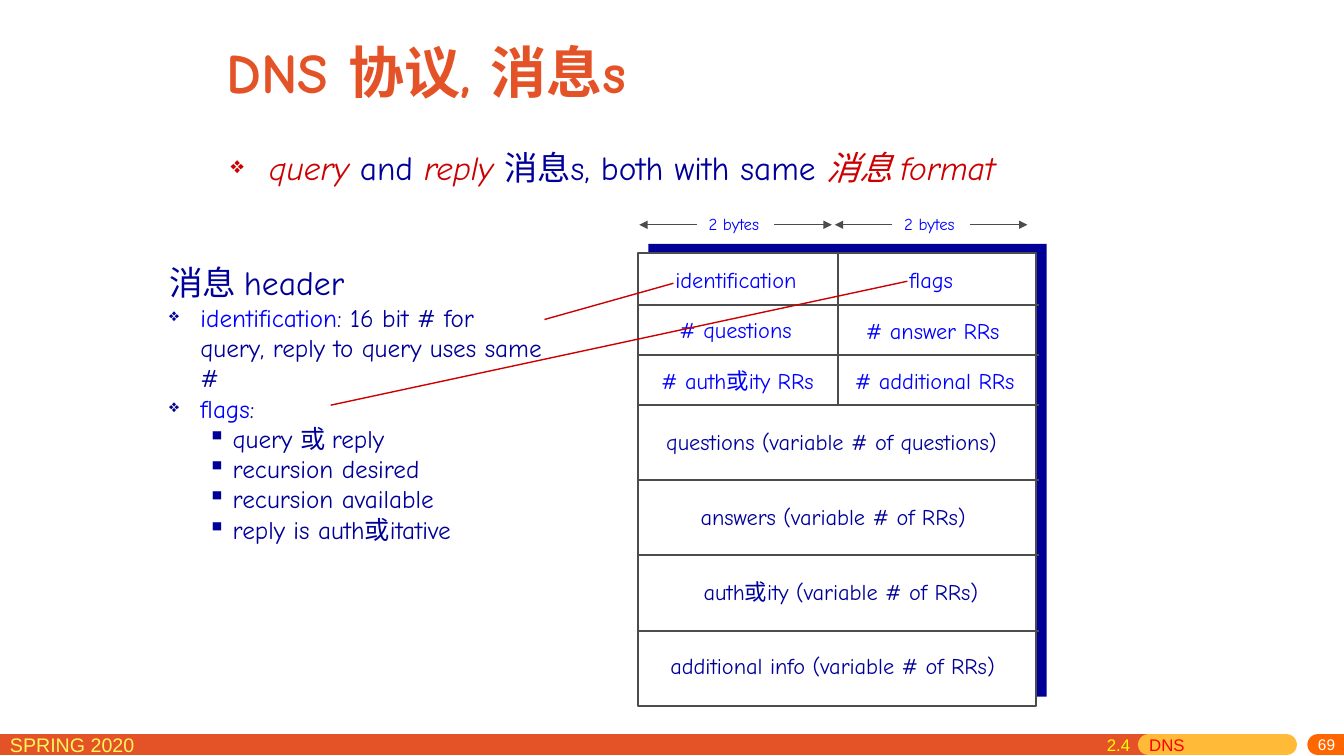
from dataclasses import dataclass

from lxml import etree
from pptx import Presentation
from pptx.dml.color import RGBColor
from pptx.enum.shapes import MSO_CONNECTOR, MSO_SHAPE
from pptx.enum.text import MSO_ANCHOR, PP_ALIGN
from pptx.oxml.ns import qn
from pptx.util import Inches, Pt

STRAIGHT = MSO_CONNECTOR.STRAIGHT
RECTANGLE = MSO_SHAPE.RECTANGLE
MIDDLE = MSO_ANCHOR.MIDDLE
RIGHT = PP_ALIGN.RIGHT


@dataclass(frozen=True)
class Theme:
    font: str = "Comic Neue"
    footer_font: str = "Arial"
    orange: str = "E45327"
    amber: str = "FFBA37"
    page_orange: str = "FF6600"
    pale_yellow: str = "FFF65C"
    yellow: str = "FFFF00"
    bright_red: str = "FF0000"
    red: str = "CC0000"
    navy: str = "000099"
    blue: str = "0000FF"
    gray: str = "4C4C4C"
    white: str = "FFFFFF"
    title: float = 40
    header: float = 24
    lead: float = 23.8
    body: float = 18
    field: float = 16
    footer: float = 14
    small: float = 12
    number: float = 11


THEME = Theme()


def add_text(page, area, **frame_format):
    """Add an empty wrapping text box and return its text frame."""
    frame = page.shapes.add_textbox(*map(Inches, area)).text_frame
    for name, value in {"word_wrap": True, **frame_format}.items():
        setattr(frame, name, value)
    return frame


def add_spans(para, size, spans, font=THEME.font):
    """Add (text, colour, format) runs to a paragraph."""
    for text, color, *extra in spans:
        span = para.add_run()
        span.text = text
        formats = {"name": font, "size": Pt(size)}
        for style in extra:
            formats.update(style)
        for name, value in formats.items():
            setattr(span.font, name, value)
        span.font.color.rgb = RGBColor.from_string(color)


def set_indent(para, margin, hanging):
    properties = para._p.get_or_add_pPr()
    properties.set("marL", str(Inches(margin)))
    properties.set("indent", str(-Inches(hanging)))
    return properties


def set_bullet(para, character, color, percent, margin, hanging):
    properties = set_indent(para, margin, hanging)
    bullet_color = etree.SubElement(properties, qn("a:buClr"))
    etree.SubElement(bullet_color, qn("a:srgbClr"), val=color)
    etree.SubElement(properties, qn("a:buSzPct"), val=str(percent * 1000))
    etree.SubElement(properties, qn("a:buChar"), char=character)


def add_label(page, area, text, color, size, font=THEME.font, align=None, **frame_format):
    para = add_text(page, area, **frame_format).paragraphs[0]
    para.alignment = align
    add_spans(para, size, [(text, color)], font)


def add_line(page, start, end, color, width, arrow=False, rounded=False):
    line = page.shapes.add_connector(STRAIGHT, *map(Inches, (*start, *end)))
    line.line.color.rgb = RGBColor.from_string(color)
    line.line.width = Pt(width)
    outline = line.line._ln
    if rounded:
        outline.set("cap", "rnd")
    if arrow:
        etree.SubElement(outline, qn("a:tailEnd"), type="triangle")
    etree.SubElement(line._element.spPr, qn("a:effectLst"))


def add_panel(page, left, top, fill, outline=None):
    panel = page.shapes.add_shape(RECTANGLE, *map(Inches, (left, top, 3.95, 4.49)))
    panel.shadow.inherit = False
    panel.fill.solid()
    panel.fill.fore_color.rgb = RGBColor.from_string(fill)
    if outline:
        panel.line.color.rgb = RGBColor.from_string(outline)
        panel.line.width = Pt(1.5)
    else:
        panel.line.fill.background()


def add_footer(page):
    bars = [(0, 11.39, THEME.orange, False), (11.39, 12.76, THEME.amber, True),
            (13.07, 13.33, THEME.page_orange, True)]
    for left, right, color, rounded in bars:
        add_line(page, (left, 7.39), (right, 7.39), color, 15, rounded=rounded)
    add_label(page, (0, 7.22, 2.29, 0.31), "SPRING 2020", THEME.pale_yellow,
              THEME.footer, THEME.footer_font)
    add_label(page, (10.75, 7.32, 2.59, 0.18), "69", THEME.white, THEME.number,
              THEME.footer_font, RIGHT, vertical_anchor=MIDDLE,
              margin_top=0, margin_bottom=Inches(0.05))
    section = add_text(page, (10.88, 7.24, 2.1, 0.31)).paragraphs[0]
    tabs = etree.SubElement(section._p.get_or_add_pPr(), qn("a:tabLst"))
    etree.SubElement(tabs, qn("a:tab"), pos=str(Inches(0.42)), algn="l")
    add_spans(section, THEME.small, [("2.4\t", THEME.yellow), ("DNS", THEME.bright_red)],
              THEME.footer_font)


def add_heading(page):
    title = add_text(page, (2.15, 0.24, 8.5, 0.94), vertical_anchor=MIDDLE)
    add_spans(title.paragraphs[0], THEME.title,
              [("DNS 协议, 消息s", THEME.orange, {"bold": True})])
    lead = add_text(page, (2.19, 1.46, 8.55, 0.56)).paragraphs[0]
    set_bullet(lead, "❖", THEME.red, 70, 0.38, 0.38)
    lead.line_spacing = 0.9
    italic = {"italic": True}
    add_spans(lead, THEME.lead, [
        ("query ", THEME.red, italic), ("and ", THEME.navy),
        ("reply ", THEME.red, italic), ("消息s, both with same ", THEME.navy),
        ("消息 format", THEME.red, italic)])


def add_header_notes(page):
    frame = add_text(page, (1.58, 2.55, 3.91, 4.2))
    heading = frame.paragraphs[0]
    set_indent(heading, 0.38, 0.38)
    add_spans(heading, THEME.header, [("消息 header", THEME.navy)])
    notes = [("identification", ": 16 bit # for query, reply to query uses same #"),
             ("flags", ":")]
    for term, rest in notes:
        para = frame.add_paragraph()
        set_bullet(para, "❖", THEME.navy, 70, 0.31, 0.31)
        add_spans(para, THEME.body, [(term, THEME.blue), (rest, THEME.navy)])
    for flag in ("query 或 reply", "recursion desired", "recursion available",
                 "reply is auth或itative"):
        para = frame.add_paragraph()
        para.level = 1
        set_bullet(para, "▪", THEME.navy, 100, 0.63, 0.25)
        add_spans(para, THEME.body, [(flag, THEME.navy)])


def add_message_format(page):
    add_panel(page, 6.43, 2.42, THEME.navy)
    add_panel(page, 6.33, 2.51, THEME.white, THEME.gray)
    for top in (3.03, 3.52, 4.02, 4.76, 5.51, 6.26):
        add_line(page, (6.32, top), (10.3, top), THEME.gray, 1.5)
    add_line(page, (8.31, 2.52), (8.31, 4.01), THEME.gray, 1.5)
    header_fields = [
        (6.6, 2.59, "identification"), (8.92, 2.59, "flags"),
        (6.64, 3.09, "# questions"), (8.49, 3.1, "# answer RRs"),
        (6.46, 3.59, "# auth或ity RRs"), (8.38, 3.59, "# additional RRs")]
    sections = [
        (6.51, 4.2, "questions (variable # of questions)"),
        (6.85, 4.94, "answers (variable # of RRs)"),
        (6.88, 5.69, "auth或ity (variable # of RRs)"),
        (6.55, 6.42, "additional info (variable # of RRs)")]
    for fields, color, width in ((header_fields, THEME.blue, 1.94),
                                 (sections, THEME.navy, 3.84)):
        for left, top, text in fields:
            add_label(page, (left, top, width, 0.37), text, color, THEME.field)


def add_byte_width(page, left):
    """Add a '2 bytes' label between two outward arrows."""
    add_label(page, (left + 0.59, 2.07, 0.8, 0.3), "2 bytes", THEME.blue, THEME.small)
    for start, end in ((1.34, 1.91), (0.57, 0)):
        add_line(page, (left + start, 2.23), (left + end, 2.23), THEME.gray, 0.75,
                 arrow=True)


def main():
    deck = Presentation()
    deck.slide_width, deck.slide_height = Inches(13.33), Inches(7.5)
    page = deck.slides.add_slide(deck.slide_layouts[6])
    add_footer(page)
    add_heading(page)
    add_header_notes(page)
    add_message_format(page)
    for start, end in (((5.4, 3.17), (6.68, 2.81)), ((3.28, 4.02), (9, 2.79))):
        add_line(page, start, end, THEME.red, 1)
    for left in (6.34, 8.28):
        add_byte_width(page, left)
    deck.save("out.pptx")


if __name__ == "__main__":
    main()
